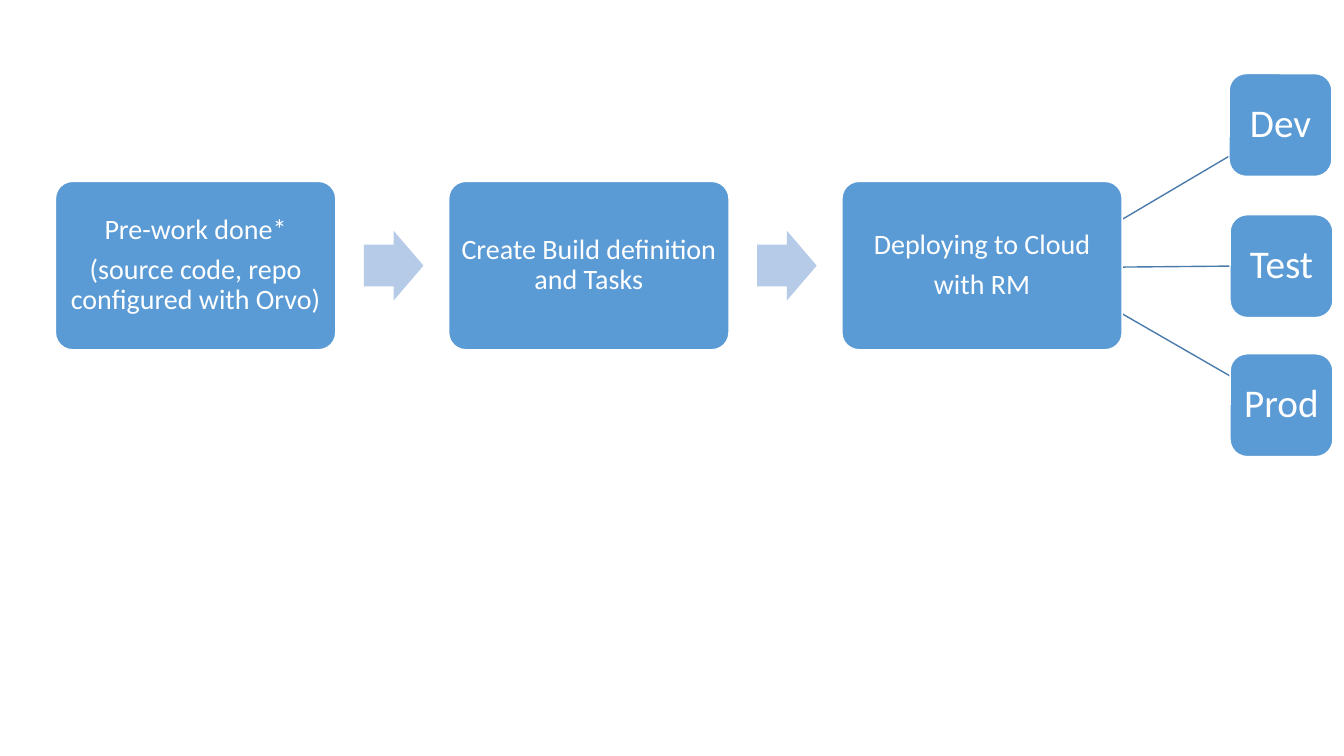
from lxml.etree import SubElement
from pptx import Presentation
from pptx.dml.color import RGBColor
from pptx.enum.shapes import MSO_CONNECTOR, MSO_SHAPE
from pptx.enum.text import MSO_ANCHOR, PP_ALIGN
from pptx.oxml.ns import qn
from pptx.util import Inches, Pt

COLORS = {"box": "5B9BD5", "arrow": "B5CBE7", "link": "497CAB", "white": "FFFFFF"}
RGB = {name: RGBColor.from_string(value) for name, value in COLORS.items()}


def add_box(left, top, width, height, lines, size):
    s = slide.shapes.add_shape(MSO_SHAPE.ROUNDED_RECTANGLE, Inches(left), Inches(top),
                               Inches(width), Inches(height))
    s.adjustments[0] = 0.17 / height
    s.shadow.inherit = False
    s.fill.solid()
    s.fill.fore_color.rgb = RGB["box"]
    s.line.color.rgb = RGB["white"]
    s.line.width = Pt(1)
    tf = s.text_frame
    tf.word_wrap = True
    tf.vertical_anchor = MSO_ANCHOR.MIDDLE
    tf.margin_left = tf.margin_right = tf.margin_top = tf.margin_bottom = Inches(0.06)
    for i, line in enumerate(lines):
        p = tf.add_paragraph() if i else tf.paragraphs[0]
        p.alignment = PP_ALIGN.CENTER
        p.line_spacing = 0.9
        p.space_before = Pt(size * 0.35 if i else 0)
        r = p.add_run()
        r.text = line
        r.font.name = "Calibri"
        r.font.size = Pt(size)
        r.font.color.rgb = RGB["white"]


prs = Presentation()
prs.slide_width = Inches(13.33)
prs.slide_height = Inches(7.5)
slide = prs.slides.add_slide(prs.slide_layouts[6])

environments = [
    ("Dev", 12.19, 0.73, 2.2, 1.55),
    ("Test", 12.2, 2.13, 2.65, 2.64),
    ("Prod", 12.2, 3.51, 3.09, 3.73),
]
for name, left, top, start_y, end_y in environments:
    link = slide.shapes.add_connector(MSO_CONNECTOR.STRAIGHT, Inches(11.09), Inches(start_y),
                                      Inches(left), Inches(end_y))
    link.line.color.rgb = RGB["link"]
    link.line.width = Pt(1)
    SubElement(link._element.spPr, qn("a:effectLst"))
    add_box(left, top, 1.02, 1.02, [name], 28)

steps = [
    ["Pre-work done*", "(source code, repo configured with Orvo)"],
    ["Create Build definition and Tasks"],
    ["Deploying to Cloud", "with RM"],
]
for i, lines in enumerate(steps):
    left = 0.55 + i * 3.9
    add_box(left, 1.8, 2.78, 1.67, lines, 20)
    if i < len(steps) - 1:
        s = slide.shapes.add_shape(MSO_SHAPE.RIGHT_ARROW, Inches(left + 3.06), Inches(2.29),
                                   Inches(0.59), Inches(0.69))
        s.adjustments[0] = 0.6
        s.adjustments[1] = 0.5
        s.shadow.inherit = False
        s.fill.solid()
        s.fill.fore_color.rgb = RGB["arrow"]
        s.line.fill.background()

prs.save("out.pptx")
